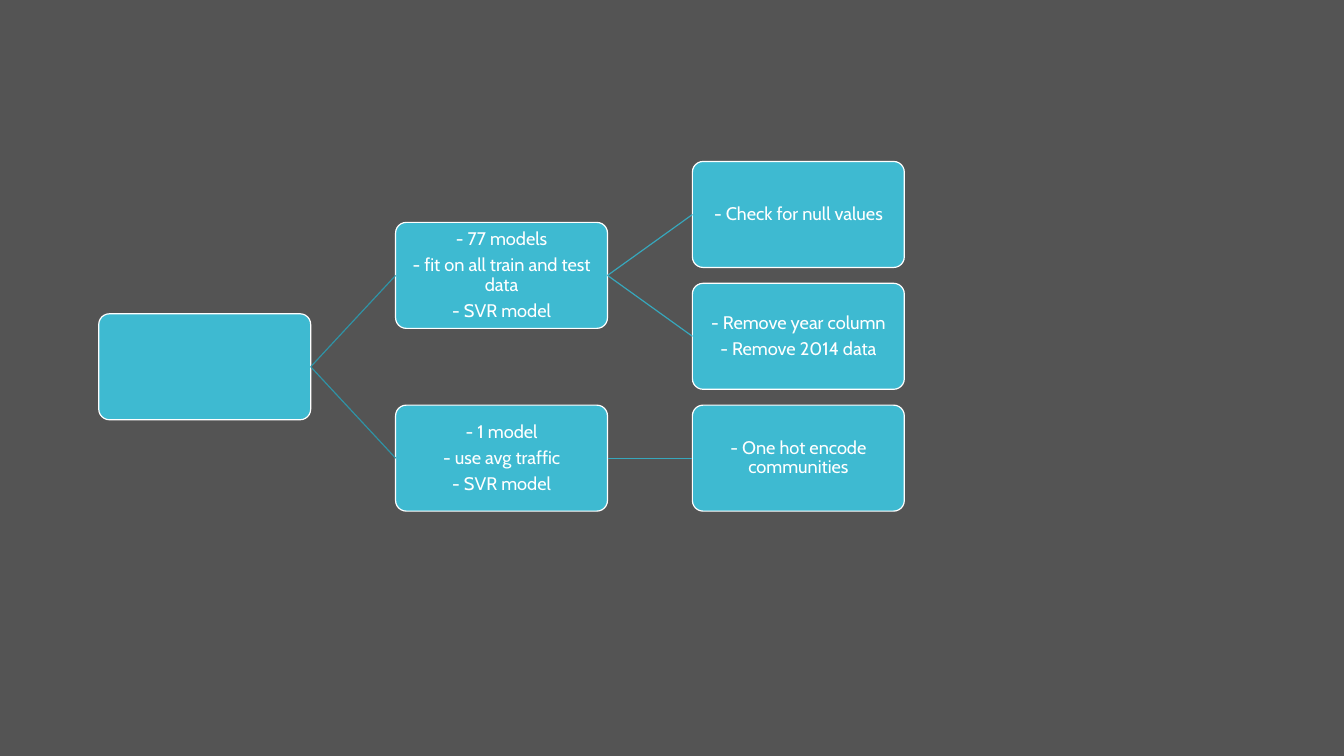
from pptx import Presentation
from pptx.dml.color import RGBColor
from pptx.enum.shapes import MSO_CONNECTOR, MSO_SHAPE
from pptx.enum.text import MSO_ANCHOR, PP_ALIGN
from pptx.oxml.ns import qn
from pptx.util import Cm, Pt
from lxml import etree

LEFT, TOP = 2.49, 4.07
BOX_W, BOX_H = 5.34, 2.67
COL_STEP, ROW_STEP = 7.48, 3.07
RIGHT_SIDE, LEFT_SIDE = 3, 1

# name: (column, row, lines of text); parents sit midway between their children
NODES = {
    "root": (0, 1.25, []),
    "many": (1, 0.5, ["- 77 models", "- fit on all train and test data", "- SVR model"]),
    "single": (1, 2, ["- 1 model", "- use avg traffic", "- SVR model"]),
    "nulls": (2, 0, ["- Check for null values"]),
    "remove": (2, 1, ["- Remove year column", "- Remove 2014 data"]),
    "encode": (2, 2, ["- One hot encode communities"]),
}
LINKS = [
    ("root", "many", "2F93A6"),
    ("root", "single", "2F93A6"),
    ("many", "nulls", "37A7BC"),
    ("many", "remove", "37A7BC"),
    ("single", "encode", "37A7BC"),
]
FRAME = {
    "word_wrap": True,
    "vertical_anchor": MSO_ANCHOR.MIDDLE,
    "margin_left": Cm(0.03),
    "margin_right": Cm(0.03),
    "margin_top": Cm(0.03),
    "margin_bottom": Cm(0.03),
}
FONT = {"name": "Cabin", "size": Pt(13)}


def rgb(color):
    return RGBColor.from_string(color)


def set_line(line, color):
    line.color.rgb = rgb(color)
    line.width = Pt(0.85)


prs = Presentation()
prs.slide_width, prs.slide_height = Cm(33.87), Cm(19.05)
s = prs.slides.add_slide(prs.slide_layouts[6])
s.background.fill.solid()
s.background.fill.fore_color.rgb = rgb("545454")

boxes = {}
for name, (col, row, lines) in NODES.items():
    sp = s.shapes.add_shape(
        MSO_SHAPE.ROUNDED_RECTANGLE,
        Cm(LEFT + col * COL_STEP), Cm(TOP + row * ROW_STEP), Cm(BOX_W), Cm(BOX_H))
    sp.adjustments[0] = 0.1
    sp.shadow.inherit = False
    sp.fill.solid()
    sp.fill.fore_color.rgb = rgb("3EBAD1")
    set_line(sp.line, "FFFFFF")
    boxes[name] = sp

    tf = sp.text_frame
    for key, value in FRAME.items():
        setattr(tf, key, value)
    for i, text in enumerate(lines):
        p = tf.add_paragraph() if i else tf.paragraphs[0]
        p.alignment = PP_ALIGN.CENTER
        p.line_spacing = 0.9
        if i:
            p.space_before = Pt(4.5)
        r = p.add_run()
        r.text = text
        for key, value in FONT.items():
            setattr(r.font, key, value)
        r.font.color.rgb = rgb("FFFFFF")

for parent, child, color in LINKS:
    link = s.shapes.add_connector(MSO_CONNECTOR.STRAIGHT, 0, 0, 0, 0)
    link.begin_connect(boxes[parent], RIGHT_SIDE)
    link.end_connect(boxes[child], LEFT_SIDE)
    set_line(link.line, color)
    etree.SubElement(link._element.spPr, qn("a:effectLst"))

prs.save("out.pptx")
